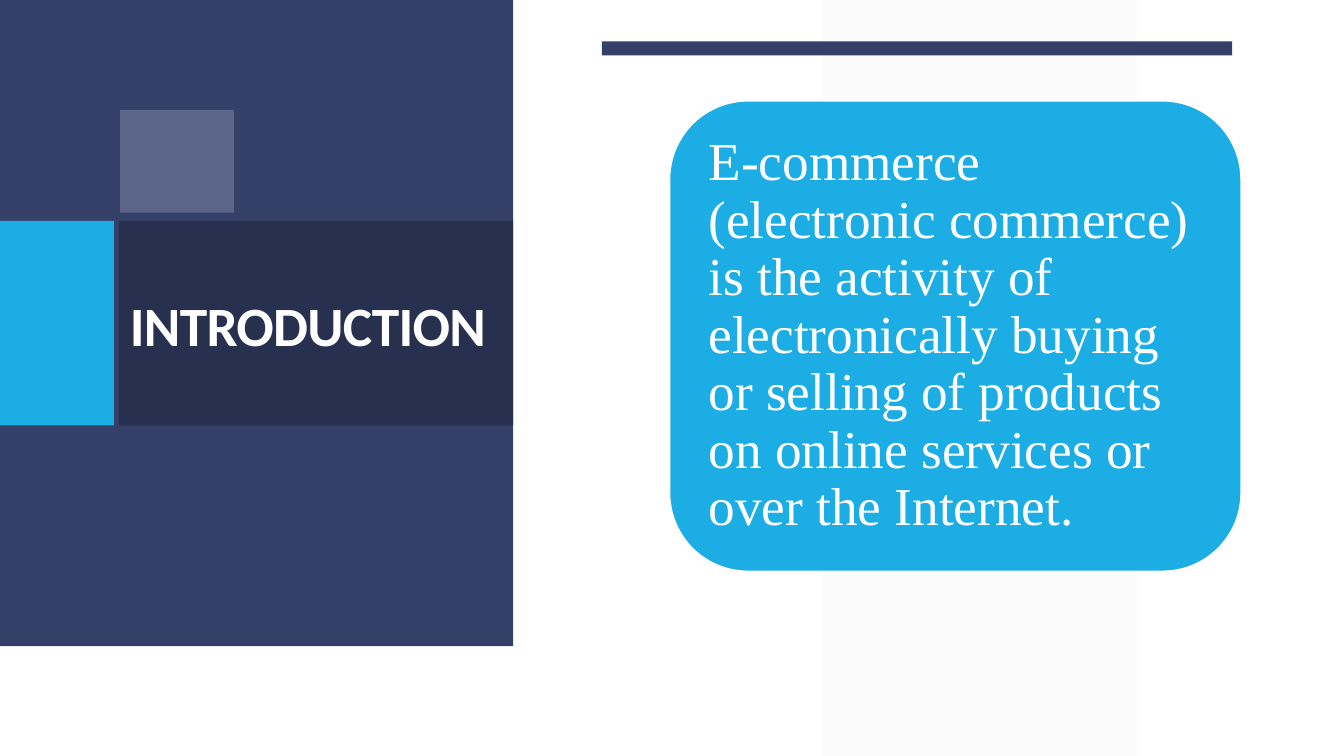
from lxml.etree import SubElement
from pptx import Presentation
from pptx.dml.color import RGBColor
from pptx.enum.shapes import MSO_SHAPE
from pptx.enum.text import MSO_ANCHOR, PP_ALIGN
from pptx.oxml.ns import qn
from pptx.util import Inches, Pt

WIDTH, HEIGHT = Inches(13.33), Inches(7.5)
COLORS = {
    "white": "FFFFFF",
    "navy": "344068",
    "dark navy": "27304E",
    "cyan": "1CADE4",
    "pale blue": "D0D5E7",
    "pale gray": "F2F2F2",
}
DEFINITION = (
    "E-commerce (electronic commerce) is the activity of electronically "
    "buying or selling of products on online services or over the Internet."
)


def color(name):
    return RGBColor.from_string(COLORS[name])


def place(left, top, width, height):
    """Turn percentages of the slide's size into lengths."""
    return (
        int(WIDTH * left / 100),
        int(HEIGHT * top / 100),
        int(WIDTH * width / 100),
        int(HEIGHT * height / 100),
    )


def add_block(slide, area, fill, kind=MSO_SHAPE.RECTANGLE, opacity=100):
    block = slide.shapes.add_shape(kind, *place(*area))
    block.shadow.inherit = False
    block.fill.solid()
    block.fill.fore_color.rgb = color(fill)
    block.line.fill.background()
    if opacity < 100:
        solid = block.fill._xPr.find(qn("a:solidFill"))
        SubElement(solid[0], qn("a:alpha")).set("val", str(opacity * 1000))
    return block


def write(box, text, font, size, inset=0.1, bold=False, tracking=0):
    """Fill a box with one left-aligned white paragraph; tracking is in points."""
    frame = box.text_frame
    frame.word_wrap = True
    frame.vertical_anchor = MSO_ANCHOR.MIDDLE
    frame.margin_left = frame.margin_right = Inches(inset)
    frame.margin_top = frame.margin_bottom = Inches(inset)
    frame.text = text
    para = frame.paragraphs[0]
    para.alignment = PP_ALIGN.LEFT
    para.line_spacing = 0.9
    span = para.runs[0]
    span.font.name = font
    span.font.size = Pt(size)
    span.font.bold = bold
    span.font.color.rgb = color("white")
    if tracking:
        span._r.get_or_add_rPr().set("spc", str(int(tracking * 100)))


def add_title(slide, area, text):
    box = slide.shapes.add_textbox(*place(*area))
    write(box, text, "Calibri", 39.6, bold=True, tracking=-0.5)


def add_card(slide, area, text):
    card = add_block(slide, area, "cyan", MSO_SHAPE.ROUNDED_RECTANGLE)
    card.line.color.rgb = color("white")
    card.line.width = Pt(1.25)
    write(card, text, "Times New Roman", 38, inset=0.16)


def main():
    deck = Presentation()
    deck.slide_width, deck.slide_height = WIDTH, HEIGHT
    slide = deck.slides.add_slide(deck.slide_layouts[6])

    band = add_block(slide, (61.14, 0, 23.41, 100), "pale gray",
                     MSO_SHAPE.PARALLELOGRAM, opacity=30)
    band.adjustments[0] = 0
    add_block(slide, (0, 0, 38.18, 85.47), "navy")
    add_block(slide, (0, 29.2, 8.48, 27.07), "cyan")
    add_block(slide, (44.79, 5.47, 46.89, 1.87), "navy")
    add_block(slide, (8.85, 29.2, 29.33, 27.07), "dark navy")
    add_block(slide, (8.93, 14.53, 8.48, 13.6), "pale blue", opacity=26)

    add_title(slide, (8.93, 34.67, 29.41, 17.47), "INTRODUCTION")
    add_card(slide, (49.81, 13.33, 42.54, 62.27), DEFINITION)
    deck.save("out.pptx")


if __name__ == "__main__":
    main()
